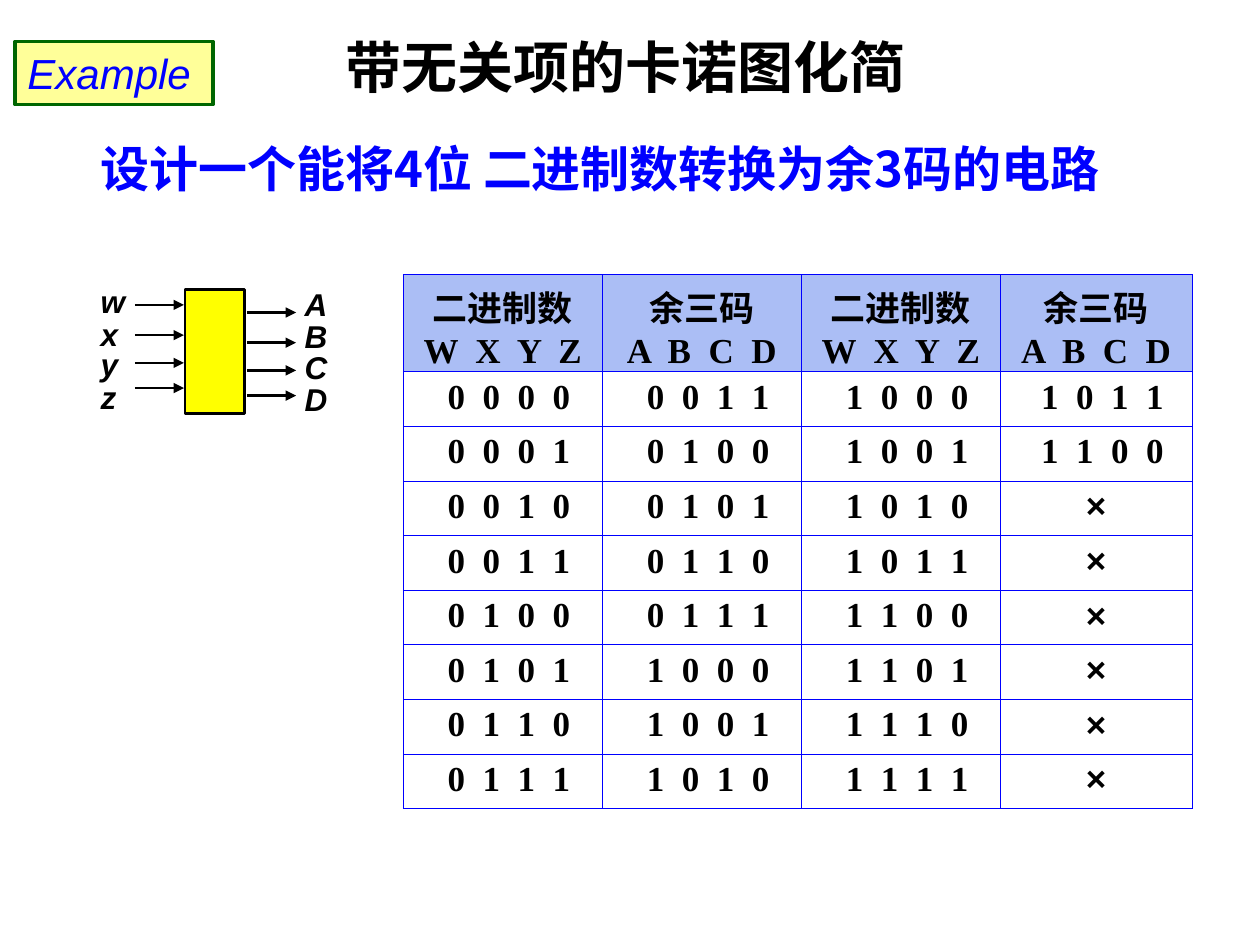
from lxml import etree
from pptx import Presentation
from pptx.dml.color import RGBColor
from pptx.enum.shapes import MSO_CONNECTOR, MSO_SHAPE
from pptx.enum.text import MSO_ANCHOR, PP_ALIGN
from pptx.oxml.ns import qn
from pptx.util import Inches, Pt

RECT, STRAIGHT = MSO_SHAPE.RECTANGLE, MSO_CONNECTOR.STRAIGHT
LEFT, CENTER = PP_ALIGN.LEFT, PP_ALIGN.CENTER
TOP, MIDDLE = MSO_ANCHOR.TOP, MSO_ANCHOR.MIDDLE

BLACK = RGBColor(0x00, 0x00, 0x00)
BLUE = RGBColor(0x00, 0x00, 0xFF)
GREEN = RGBColor(0x00, 0x66, 0x00)
CREAM = RGBColor(0xFF, 0xFF, 0x99)
YELLOW = RGBColor(0xFF, 0xFF, 0x00)
HEADER_BLUE = RGBColor(0xAB, 0xBE, 0xF5)
SANS, SERIF, CJK = "Arial", "Times New Roman", "Noto Sans CJK SC"

TITLE = "带无关项的卡诺图化简"
TASK = "设计一个能将4位 二进制数转换为余3码的电路"
TAG = "Example"
INPUTS, OUTPUTS = "wxyz", "ABCD"
HEADERS = [("二进制数", "WXYZ"), ("余三码", "ABCD")] * 2
DONT_CARE = "×"
WORDS = 16
DIGITS = 10

# Circuit block: offsets of the four signals, shared by both sides
ARROW_YS = (2.42, 2.66, 2.88, 3.08)
LABEL_YS = (2.19, 2.45, 2.69, 2.95)
ARROW_LEN = 0.39
# signals, arrow left, label left, arrow drop, label drop
SIDES = [(INPUTS, 1.07, 0.7, 0, 0), (OUTPUTS, 1.96, 2.32, 0.06, 0.02)]

TABLE_LEFT, TABLE_TOP, TABLE_HEIGHT = 3.2, 2.18, 4.24
COL_WIDTHS = (1.58, 1.58, 1.58, 1.52)
HEADER_HEIGHT = 0.77
LETTER_GAP = 2.5


def box(left, top, width, height):
    return [Inches(v) for v in (left, top, width, height)]


def write(p, text, size=18, font=SANS, color=BLACK, bold=False, italic=False,
          align=LEFT, gap=0):
    """Add one run to paragraph p; gap is extra letter spacing in points."""
    p.alignment = align
    r = p.add_run()
    r.text = text
    f = r.font
    f.size, f.name, f.bold, f.italic = Pt(size), font, bold, italic
    f.color.rgb = color
    rPr = r._r.get_or_add_rPr()
    etree.SubElement(rPr, qn("a:ea")).set("typeface", CJK)
    if gap:
        rPr.set("spc", str(int(gap * 100)))


def add_text(s, text, place, anchor=TOP, **fmt):
    tf = s.shapes.add_textbox(*box(*place)).text_frame
    tf.word_wrap = True
    tf.vertical_anchor = anchor
    tf.margin_right = 0
    write(tf.paragraphs[0], text, **fmt)


def add_block(s, place, fill, line, width):
    sp = s.shapes.add_shape(RECT, *box(*place))
    sp.shadow.inherit = False
    sp.fill.solid()
    sp.fill.fore_color.rgb = fill
    sp.line.color.rgb = line
    sp.line.width = Pt(width)
    return sp


def add_arrow(s, x, y):
    c = s.shapes.add_connector(STRAIGHT, Inches(x), Inches(y),
                               Inches(x + ARROW_LEN), Inches(y))
    c.line.color.rgb = BLACK
    c.line.width = Pt(1.5)
    etree.SubElement(c.line._get_or_add_ln(), qn("a:tailEnd")).set("type", "triangle")
    etree.SubElement(c._element.spPr, qn("a:effectLst"))


def add_borders(cell):
    tcPr = cell._tc.get_or_add_tcPr()
    for i, side in enumerate(("lnL", "lnR", "lnT", "lnB")):
        ln = etree.Element(qn("a:" + side), w=str(Pt(0.45)))
        fill = etree.SubElement(ln, qn("a:solidFill"))
        etree.SubElement(fill, qn("a:srgbClr")).set("val", str(BLUE))
        tcPr.insert(i, ln)


def spaced(word):
    return " ".join(word)


def excess_three(n):
    return f"{n + 3:04b}" if n < DIGITS else DONT_CARE


def code_rows():
    """Binary words and their excess-3 codes, lower half beside upper half."""
    half = WORDS // 2
    return [[word for n in (i, i + half) for word in (f"{n:04b}", excess_three(n))]
            for i in range(half)]


def add_code_table(s):
    rows = [HEADERS] + [[(word,) for word in row] for row in code_rows()]
    table = s.shapes.add_table(len(rows), len(COL_WIDTHS), *box(
        TABLE_LEFT, TABLE_TOP, sum(COL_WIDTHS), TABLE_HEIGHT)).table
    for col, width in zip(table.columns, COL_WIDTHS):
        col.width = Inches(width)
    body_height = (TABLE_HEIGHT - HEADER_HEIGHT) / (len(rows) - 1)
    for i, row in enumerate(rows):
        table.rows[i].height = Inches(body_height if i else HEADER_HEIGHT)
        for j, lines in enumerate(row):
            cell = table.cell(i, j)
            cell.margin_top, cell.margin_bottom = Inches(0.05), 0
            if i == 0:
                cell.fill.solid()
                cell.fill.fore_color.rgb = HEADER_BLUE
            else:
                cell.fill.background()
                if lines[0] != DONT_CARE:
                    cell.margin_left = Inches(0.2)
            add_borders(cell)
            tf = cell.text_frame
            for k, line in enumerate(lines):
                p = tf.add_paragraph() if k else tf.paragraphs[0]
                is_code = line.isascii()
                write(p, spaced(line) if is_code else line, size=20, bold=True,
                      font=SANS if line == DONT_CARE else SERIF, align=CENTER,
                      gap=LETTER_GAP if is_code else 0)


def main():
    prs = Presentation()
    prs.slide_width, prs.slide_height = Inches(10), Inches(7.5)
    s = prs.slides.add_slide(prs.slide_layouts[5])

    title = s.shapes.title
    title.left, title.top, title.width, title.height = box(2.64, 0.21, 4.88, 0.64)
    title.text_frame.vertical_anchor = TOP
    write(title.text_frame.paragraphs[0], TITLE, size=32, bold=True)

    add_text(s, TASK, (0.7, 0.86, 8.52, 0.95), anchor=MIDDLE, size=28,
             font=CJK, color=BLUE, bold=True)
    tag = add_block(s, (0.12, 0.33, 1.57, 0.5), CREAM, GREEN, 2.25)
    tag.text_frame.vertical_anchor = TOP
    write(tag.text_frame.paragraphs[0], TAG, size=24, color=BLUE, italic=True)

    add_block(s, (1.47, 2.3, 0.47, 0.98), YELLOW, BLACK, 1.5)
    for signals, arrow_x, label_x, arrow_drop, label_drop in SIDES:
        for name, arrow_y, label_y in zip(signals, ARROW_YS, LABEL_YS):
            add_arrow(s, arrow_x, arrow_y + arrow_drop)
            add_text(s, name, (label_x, label_y + label_drop, 0.67, 0.4),
                     bold=True, italic=True)

    add_code_table(s)
    prs.save("out.pptx")


if __name__ == "__main__":
    main()
